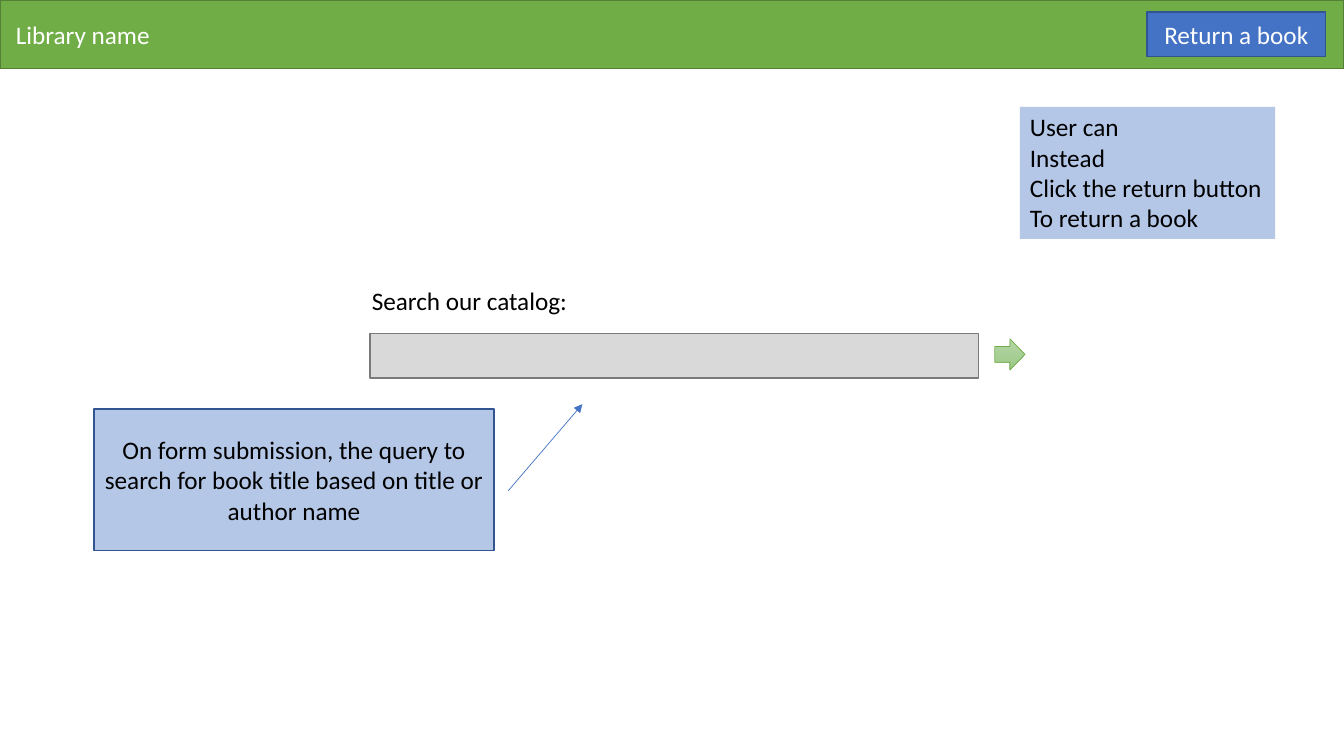
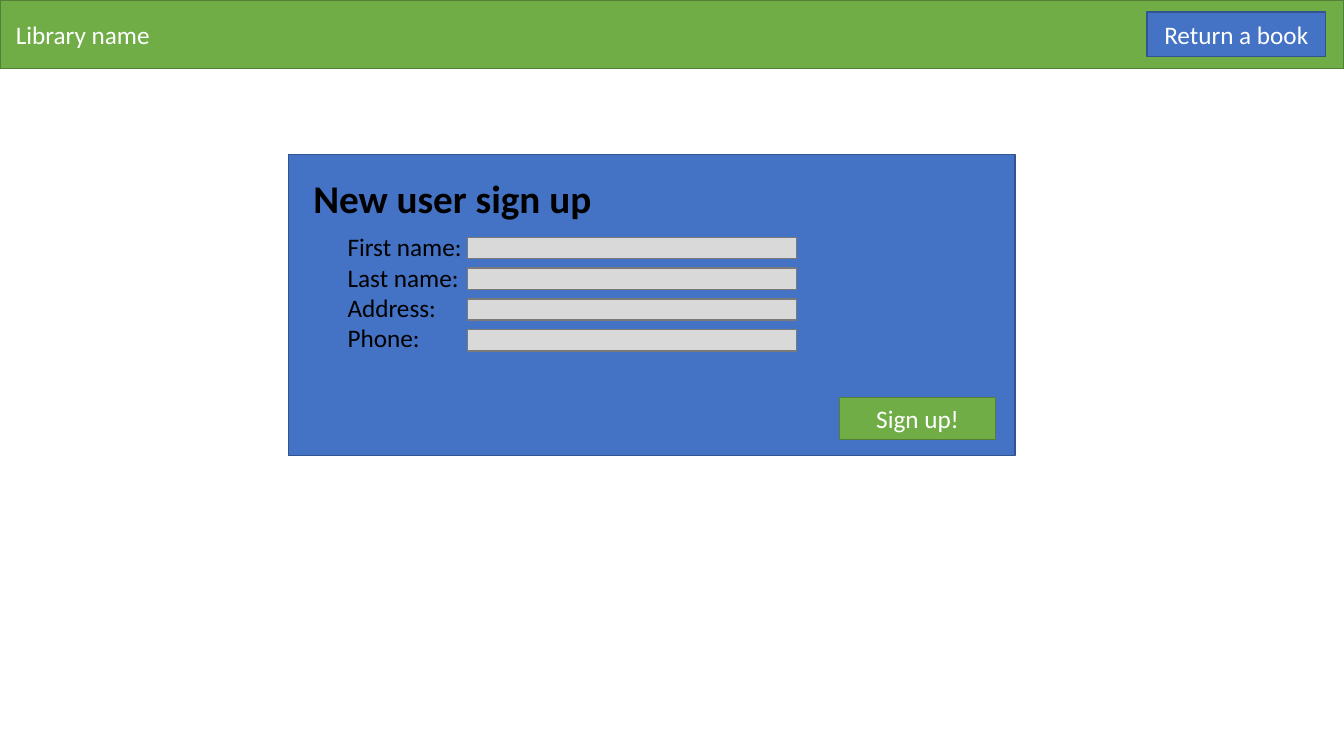
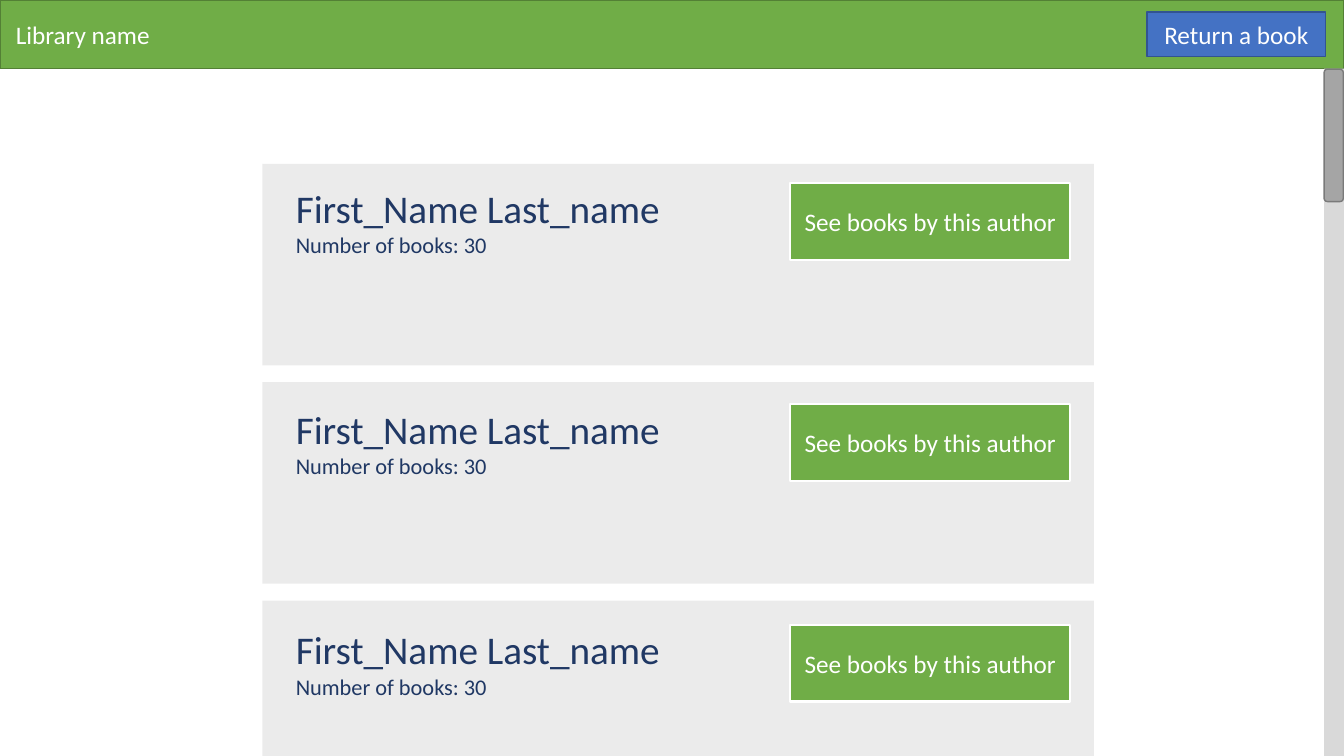
"""Build three wireframe slides for a library website."""
from lxml import etree
from pptx import Presentation
from pptx.dml.color import RGBColor
from pptx.enum.shapes import MSO_CONNECTOR, MSO_SHAPE
from pptx.enum.text import MSO_ANCHOR, PP_ALIGN
from pptx.oxml.ns import qn
from pptx.util import Pt

RECT = MSO_SHAPE.RECTANGLE
ROUND = MSO_SHAPE.ROUNDED_RECTANGLE
ARROW = MSO_SHAPE.RIGHT_ARROW
STRAIGHT = MSO_CONNECTOR.STRAIGHT
TOP, MIDDLE = MSO_ANCHOR.TOP, MSO_ANCHOR.MIDDLE
LEFT, CENTER = PP_ALIGN.LEFT, PP_ALIGN.CENTER

WHITE = RGBColor(0xFF, 0xFF, 0xFF)
BLACK = RGBColor(0x00, 0x00, 0x00)
GREEN = RGBColor(0x70, 0xAD, 0x47)
MOSS = RGBColor(0x53, 0x80, 0x35)
LEAF = RGBColor(0xB5, 0xD5, 0xA7)
FERN = RGBColor(0x9C, 0xC9, 0x87)
BLUE = RGBColor(0x44, 0x72, 0xC4)
NAVY = RGBColor(0x32, 0x54, 0x91)
INK = RGBColor(0x20, 0x38, 0x64)
SKY = RGBColor(0xB4, 0xC7, 0xE7)
SILVER = RGBColor(0xD9, 0xD9, 0xD9)
GRAY = RGBColor(0xA5, 0xA5, 0xA5)
SLATE = RGBColor(0x7A, 0x7A, 0x7A)

WIDTH, HEIGHT, BAND = 960, 540, 49
BODY = {"name": "Calibri", "size": Pt(18), "bold": False}
HEAD = BODY | {"size": Pt(28)}
BOLD = HEAD | {"bold": True}
SMALL = BODY | {"size": Pt(16)}


def write(shape, lines, color, align=LEFT, anchor=TOP, wrap=True):
    """Fill a shape with (text, font format) lines."""
    frame = shape.text_frame
    for key, value in {"word_wrap": wrap, "vertical_anchor": anchor}.items():
        setattr(frame, key, value)
    for i, (text, style) in enumerate(lines):
        para = frame.add_paragraph() if i else frame.paragraphs[0]
        para.alignment = align
        run = para.add_run()
        run.text = text
        for key, value in style.items():
            setattr(run.font, key, value)
        run.font.color.rgb = color


def add_box(slide, area, fill, line=None, weight=1, kind=RECT):
    """Add a filled preset shape."""
    box = slide.shapes.add_shape(kind, *map(Pt, area))
    box.shadow.inherit = False
    box.fill.solid()
    box.fill.fore_color.rgb = fill
    if line is None:
        box.line.fill.background()
    else:
        box.line.color.rgb = line
        box.line.width = Pt(weight)
    return box


def add_button(slide, area, text, fill, line, weight=1, color=WHITE):
    """Add a box with centred text."""
    box = add_box(slide, area, fill, line, weight)
    write(box, [(text, BODY)], color, CENTER, MIDDLE)


def add_text(slide, area, lines, color=BLACK, wrap=True):
    """Add a text box."""
    box = slide.shapes.add_textbox(*map(Pt, area))
    write(box, lines, color, wrap=wrap)
    return box


def add_field(slide, area):
    """Add an empty input field."""
    add_box(slide, area, SILVER, SLATE)


def add_go(slide, area):
    """Add the shaded search arrow."""
    arrow = add_box(slide, area, LEAF, GREEN, 0.5, ARROW)
    arrow.fill.gradient()
    arrow.fill.gradient_angle = 270
    for stop, color in zip(arrow.fill.gradient_stops, (LEAF, FERN)):
        stop.color.rgb = color


def add_pointer(slide, start, end):
    """Add a thin line with an arrowhead."""
    line = slide.shapes.add_connector(STRAIGHT, *map(Pt, start + end))
    line.line.color.rgb = BLUE
    line.line.width = Pt(0.5)
    stroke = line.line._get_or_add_ln()
    etree.SubElement(stroke, qn("a:tailEnd"), type="triangle")
    etree.SubElement(line._element.spPr, qn("a:effectLst"))


def add_card(slide, area):
    """Add a half-transparent card."""
    card = add_box(slide, area, SILVER)
    color = card._element.spPr.find(".//" + qn("a:srgbClr"))
    etree.SubElement(color, qn("a:alpha"), val="50000")


def add_page(deck):
    """Add a blank slide with the site header."""
    slide = deck.slides.add_slide(deck.slide_layouts[6])
    band = add_box(slide, (0, 0, WIDTH, BAND), GREEN, MOSS)
    write(band, [("Library name", BODY)], WHITE, anchor=MIDDLE)
    band.text_frame.margin_left = Pt(11.3)
    add_button(slide, (819.4, 8.6, 127.4, 31.7), "Return a book", BLUE, NAVY)
    return slide


def search(deck):
    """Build the catalog search page."""
    slide = add_page(deck)
    add_text(slide, (258.5, 200.2, 186, 29), [("Search our catalog:", BODY)])
    add_field(slide, (264.2, 238.3, 435, 31.7))
    add_go(slide, (710.6, 242, 21.6, 22.3))
    add_button(slide, (67, 292.3, 286, 100.8),
               "On form submission, the query to search for book title "
               "based on title or author name", SKY, NAVY, color=BLACK)
    add_pointer(slide, (363, 350.6), (416, 288.7))
    words = ("User can", "Instead", "Click the return button",
             "To return a book")
    note = add_text(slide, (728.6, 76.3, 182.2, 94.3),
                    [(word, BODY) for word in words], wrap=False)
    note.fill.solid()
    note.fill.fore_color.rgb = SKY


def sign_up(deck):
    """Build the sign-up form page."""
    slide = add_page(deck)
    add_box(slide, (206, 110.2, 519, 215.3), BLUE, NAVY)
    add_text(slide, (216.7, 121, 235, 41), [("New user sign up", BOLD)])
    labels = ("First name:", "Last name:", "Address:", "Phone:")
    add_text(slide, (241.2, 162, 421, 94.3),
             [(label, BODY) for label in labels])
    for i in range(len(labels)):
        add_field(slide, (334.1, 169.5 + 22 * i, 235, 15.2))
    add_button(slide, (599.8, 283.9, 111.4, 30), "Sign up!", GREEN, MOSS)


def authors(deck):
    """Build the author results page."""
    slide = add_page(deck)
    for i in range(3):
        add_card(slide, (187.4, 117 + 156 * i, 594, 144))
        top = 128 + 157.7 * i
        add_text(slide, (204.2, top, 305.3, 60.5),
                 [("First_Name Last_name", HEAD),
                  ("Number of books: 30", SMALL)], INK)
        add_button(slide, (564.5, top + 3, 200, 54.7),
                   "See books by this author", GREEN, WHITE, 1.5)
    add_box(slide, (945.8, BAND, WIDTH - 945.8, HEIGHT - BAND), SILVER)
    add_box(slide, (945.8, 49.5, 13.7, 94.5), GRAY, SLATE, kind=ROUND)


def main():
    """Build and save the deck."""
    deck = Presentation()
    deck.slide_width, deck.slide_height = Pt(WIDTH), Pt(HEIGHT)
    for build in (search, sign_up, authors):
        build(deck)
    deck.save("out.pptx")


if __name__ == "__main__":
    main()
